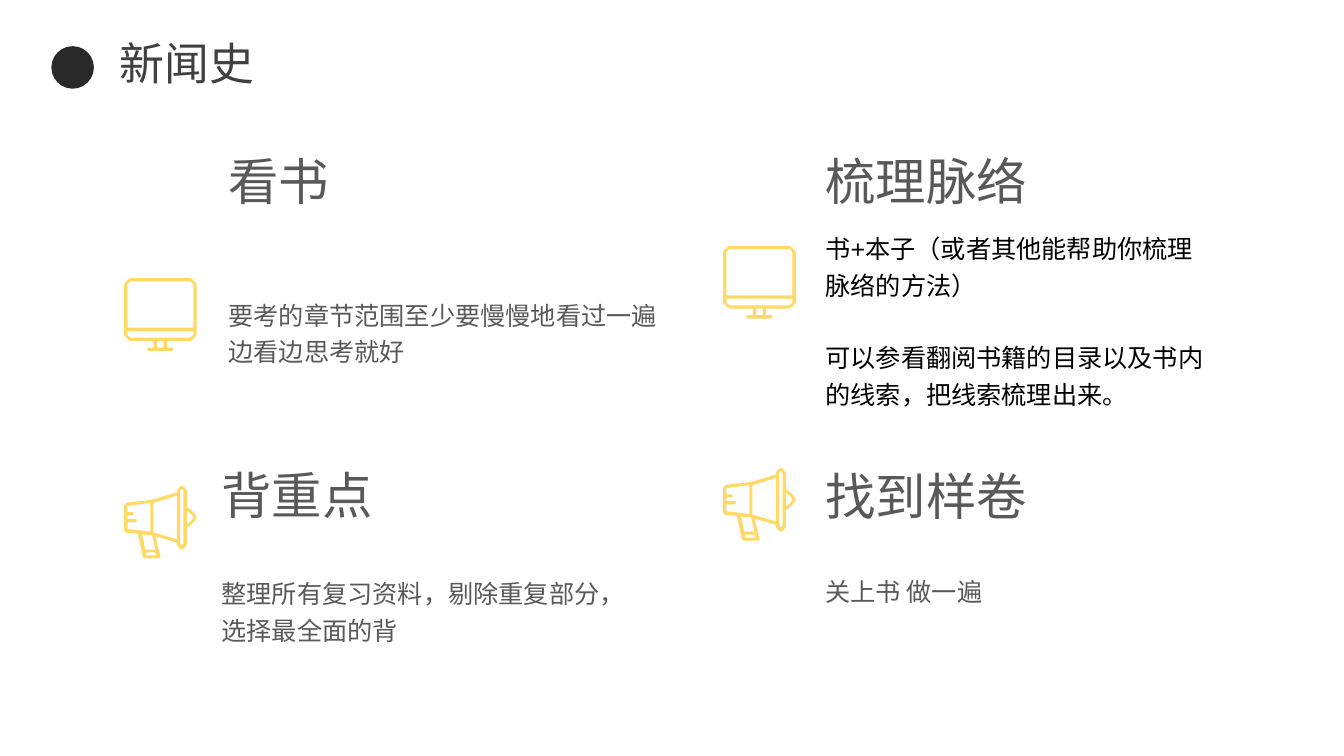
from dataclasses import dataclass

import pptx
import pptx.dml.color
import pptx.enum.lang
import pptx.enum.shapes
import pptx.enum.text
import pptx.util

Pt = pptx.util.Pt
Vertex = tuple[float, ...]  # x, y and, for a rounded corner, its radius
Outline = list[Vertex]


@dataclass(frozen=True)
class Theme:
    """Font, colours and type sizes of the slide."""
    font: str = "Arial"
    background: str = "FFFFFF"
    dot: str = "292929"
    title: str = "404040"
    text: str = "595959"
    strong: str = "000000"
    icon: str = "FFD966"
    title_size: int = 32
    heading_size: int = 36
    body_size: int = 18


@dataclass(frozen=True)
class Step:
    """One study step: icon, heading and body, with positions in points."""
    heading: str
    body: tuple[str, ...]
    icon: list[Outline]
    icon_position: tuple[float, float]
    text_left: float
    heading_top: float
    body_top: float
    body_size: tuple[float, float]
    color: str
    gap: float = 0


THEME = Theme()
ICON_UNIT = 2.36  # icons are drawn on a grid of 22 units
HEADING_SIZE = (288.7, 55.4)

MONITOR: list[Outline] = [
    [(0, 0, 2), (22, 0, 2), (22, 19, 2), (13, 19), (13, 21), (15, 21, .5),
     (15, 22, .5), (7, 22, .5), (7, 21, .5), (9, 21), (9, 19), (0, 19, 2)],
    [(1, 15), (1, 1, 1), (21, 1, 1), (21, 15)],
    [(1, 16), (21, 16), (21, 18, 1), (1, 18, 1)],
    [(10, 19), (12, 19), (12, 21), (10, 21)],
]
MEGAPHONE: list[Outline] = [
    [(19, 6.5), (19, 0, 1.5), (16, 0, 1.5), (16, 2), (8.3, 4.3), (0, 5.2, 1),
     (0, 14.2, .8), (4.2, 14.5), (5.8, 22, .6), (11.2, 22, .6), (9.5, 15.3),
     (16, 17.2), (16, 19.3, 1.5), (19, 19.3, 1.5), (19, 12.6),
     (22, 12.6, 3), (22, 6.5, 3)],
    [(19, 7.6), (21, 7.6, 2), (21, 11.6, 2), (19, 11.6)],
    [(17, 1, .5), (18, 1, .5), (18, 18, .5), (17, 18, .5)],
    [(16, 16.2), (8.9, 14.1), (8.9, 5.2), (16, 3)],
    [(1, 13.1), (1, 11), (4, 11, .5), (4, 10, .5), (1, 10), (1, 9),
     (3, 9, .5), (3, 8, .5), (1, 8), (1, 6.1), (8, 5.2), (8, 13.9)],
    [(6.4, 19.3), (5.5, 14.7), (8.5, 15), (9.5, 19.3)],
    [(6.7, 20.2), (9.5, 20.2), (9.8, 21.1), (6.8, 21.1)],
]

STEPS = [
    Step("看书", ("要考的章节范围至少要慢慢地看过一遍", "边看边思考就好"),
         MONITOR, (88.6, 198.7), 156.2, 95, 206.6, (323.3, 57.6), THEME.text),
    Step("背重点", ("整理所有复习资料，剔除重复部分，选择最全面的背",),
         MEGAPHONE, (88.6, 347), 151.2, 319.7, 405.4, (301, 57.6), THEME.text),
    Step("梳理脉络", ("书+本子（或者其他能帮助你梳理脉络的方法）",
                  "可以参看翻阅书籍的目录以及书内的线索，把线索梳理出来。"),
         MONITOR, (516.5, 175.6), 582.5, 95, 159.1, (288.7, 136), THEME.strong, 26),
    Step("找到样卷", ("关上书 做一遍",),
         MEGAPHONE, (516.5, 334.3), 582.5, 320.4, 404, (288.7, 31), THEME.text),
]


def rgb(color: str) -> pptx.dml.color.RGBColor:
    """Turn a hex string into a colour."""
    return pptx.dml.color.RGBColor.from_string(color)


def write_text(shape, lines: tuple[str, ...], *, size: float, color: str,
               spacing: float = 1.2, gap: float = 0, wrap: bool = True) -> None:
    """Write one paragraph per line, with gap points between paragraphs."""
    frame = shape.text_frame
    frame.word_wrap = wrap
    frame.vertical_anchor = pptx.enum.text.MSO_ANCHOR.TOP
    frame.text = "\n".join(lines)
    for index, paragraph in enumerate(frame.paragraphs):
        paragraph.alignment = pptx.enum.text.PP_ALIGN.LEFT
        paragraph.line_spacing = spacing
        paragraph.space_before = Pt(gap if index else 0)
        font = paragraph.runs[0].font
        font.name = THEME.font
        font.size = Pt(size)
        font.color.rgb = rgb(color)
        font.language_id = pptx.enum.lang.MSO_LANGUAGE_ID.SIMPLIFIED_CHINESE


def paint(shape, color: str) -> None:
    """Give a shape a plain fill without line or shadow."""
    shape.fill.solid()
    shape.fill.fore_color.rgb = rgb(color)
    shape.line.fill.background()
    shape.shadow.inherit = False


def toward(start: Vertex, end: Vertex, distance: float) -> Vertex:
    """Return the point at a distance from start on the way to end."""
    x, y = end[0] - start[0], end[1] - start[1]
    share = distance / (x * x + y * y) ** 0.5
    return start[0] + x * share, start[1] + y * share


def round_corners(outline: Outline, steps: int = 8) -> list[tuple[int, int]]:
    """Trace an outline, with its rounded corners as short segments."""
    points = []
    for index, vertex in enumerate(outline):
        if len(vertex) == 2:
            points.append(vertex)
            continue
        radius = vertex[2]
        first = toward(vertex, outline[index - 1], radius)
        last = toward(vertex, outline[(index + 1) % len(outline)], radius)
        for step in range(steps + 1):
            t = step / steps
            start, end = (1 - t) ** 2 * (1 + 1.35 * t), t ** 2 * (2.35 - 1.35 * t)
            corner = 1 - start - end
            points.append(tuple(start * first[axis] + corner * vertex[axis]
                                + end * last[axis] for axis in (0, 1)))
    return [(Pt(x * ICON_UNIT), Pt(y * ICON_UNIT)) for x, y in points]


def draw_icon(slide, outlines: list[Outline], left: float, top: float) -> None:
    """Draw an icon as one freeform; inner outlines become holes."""
    builder = None
    for outline in outlines:
        start, *others = round_corners(outline)
        if builder is None:
            builder = slide.shapes.build_freeform(*start)
        else:
            builder.move_to(*start)
        builder.add_line_segments(others, close=True)
    paint(builder.convert_to_shape(Pt(left), Pt(top)), THEME.icon)


def draw_step(slide, step: Step) -> None:
    """Draw the icon, heading and body of a step."""
    draw_icon(slide, step.icon, *step.icon_position)
    heading = slide.shapes.add_textbox(
        Pt(step.text_left), Pt(step.heading_top), *map(Pt, HEADING_SIZE))
    write_text(heading, (step.heading,), size=THEME.heading_size, color=THEME.text)
    body = slide.shapes.add_textbox(
        Pt(step.text_left), Pt(step.body_top), *map(Pt, step.body_size))
    write_text(body, step.body, size=THEME.body_size, color=step.color, gap=step.gap)


def draw_title(slide) -> None:
    """Place the title and the dot beside it."""
    dot = slide.shapes.add_shape(
        pptx.enum.shapes.MSO_SHAPE.OVAL, Pt(36.7), Pt(33), Pt(30.4), Pt(30.4))
    paint(dot, THEME.dot)
    title = slide.shapes.title
    title.left, title.top, title.width, title.height = map(Pt, (78.5, 21.6, 111.6, 46))
    write_text(title, ("新闻史",), size=THEME.title_size, color=THEME.title,
               spacing=1, wrap=False)


def main() -> None:
    """Build and save the slide."""
    presentation = pptx.Presentation()
    presentation.slide_width, presentation.slide_height = Pt(960), Pt(540)
    slide = presentation.slides.add_slide(presentation.slide_layouts[5])
    slide.background.fill.solid()
    slide.background.fill.fore_color.rgb = rgb(THEME.background)
    draw_title(slide)
    for step in STEPS:
        draw_step(slide, step)
    presentation.save("out.pptx")


main()
